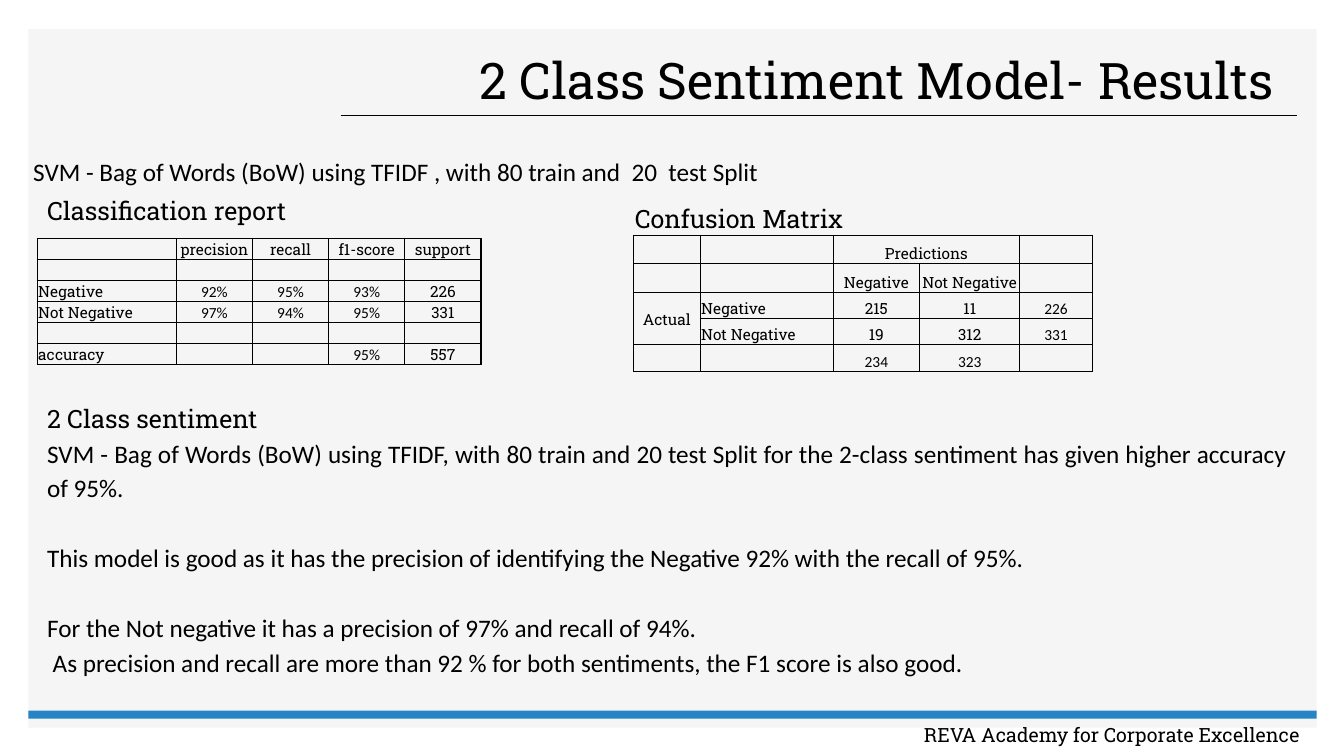
from lxml import etree
from pptx import Presentation
from pptx.dml.color import RGBColor
from pptx.enum.shapes import MSO_CONNECTOR, MSO_SHAPE
from pptx.enum.text import MSO_ANCHOR, PP_ALIGN
from pptx.oxml.ns import qn
from pptx.util import Pt

LEFT, CENTER, RIGHT, JUSTIFY = PP_ALIGN.LEFT, PP_ALIGN.CENTER, PP_ALIGN.RIGHT, PP_ALIGN.JUSTIFY
TOP, MIDDLE, BOTTOM = MSO_ANCHOR.TOP, MSO_ANCHOR.MIDDLE, MSO_ANCHOR.BOTTOM
RECTANGLE, STRAIGHT = MSO_SHAPE.RECTANGLE, MSO_CONNECTOR.STRAIGHT


def rgb(value):
    return RGBColor.from_string(value)


class SlideBuilder:
    SLAB = "Roboto Slab"
    SANS = "Calibri"
    INK = "000000"
    PANEL = "F5F5F5"
    ACCENT = "2683C6"

    def __init__(self, slide):
        self.slide = slide

    def format(self, p, size, font, align=LEFT):
        p.alignment = align
        for r in p.runs:
            r.font.size = Pt(size)
            r.font.name = font
            r.font.color.rgb = rgb(self.INK)

    def rect(self, x, y, w, h, color):
        sp = self.slide.shapes.add_shape(RECTANGLE, Pt(x), Pt(y), Pt(w), Pt(h))
        sp.shadow.inherit = False
        sp.fill.solid()
        sp.fill.fore_color.rgb = rgb(color)
        sp.line.fill.background()

    def line(self, x1, y1, x2, y2):
        cn = self.slide.shapes.add_connector(STRAIGHT, Pt(x1), Pt(y1), Pt(x2), Pt(y2))
        cn.line.color.rgb = rgb(self.INK)
        cn.line.width = Pt(1)
        etree.SubElement(cn._element.spPr, qn("a:effectLst"))

    def text(self, x, y, w, h, text, size=18, font=SLAB, align=LEFT, anchor=TOP, right=7.2):
        tf = self.slide.shapes.add_textbox(Pt(x), Pt(y), Pt(w), Pt(h)).text_frame
        tf.word_wrap = True
        tf.vertical_anchor = anchor
        tf.margin_right = Pt(right)
        p = tf.paragraphs[0]
        p.text = text
        self.format(p, size, font, align)
        return tf

    def body(self, tf, text, before=0, indent=0):
        p = tf.add_paragraph()
        p.text = text
        p.line_spacing = 1.15
        p.space_before = Pt(before)
        p._p.get_or_add_pPr().set("marL", str(Pt(indent)))
        self.format(p, 18, self.SANS, JUSTIFY)

    def borders(self, cell):
        tcPr = cell._tc.get_or_add_tcPr()
        for i, side in enumerate(("lnL", "lnR", "lnT", "lnB")):
            ln = etree.Element(qn("a:" + side), w=str(Pt(1)))
            fill = etree.SubElement(ln, qn("a:solidFill"))
            etree.SubElement(fill, qn("a:srgbClr"), val=self.INK)
            tcPr.insert(i, ln)

    def cell(self, cell, text, font, align, anchor):
        cell.margin_left = cell.margin_right = cell.margin_top = Pt(0.7)
        cell.margin_bottom = Pt(0)
        cell.vertical_anchor = anchor
        cell.fill.background()
        self.borders(cell)
        p = cell.text_frame.paragraphs[0]
        if text:
            p.text = text
            self.format(p, 11, font, align)
        else:
            etree.SubElement(p._p, qn("a:endParaRPr"), sz="1100")

    def table(self, x, y, widths, heights, rows, label_col, sans, merges=()):
        frame = self.slide.shapes.add_table(
            len(heights), len(widths), Pt(x), Pt(y), Pt(sum(widths)), Pt(sum(heights)))
        tbl = frame.table
        tbl.first_row = tbl.horz_banding = False
        for col, width in zip(tbl.columns, widths):
            col.width = Pt(width)
        for row, height in zip(tbl.rows, heights):
            row.height = Pt(height)
        for i, row in enumerate(rows):
            for j, text in enumerate(row):
                self.cell(tbl.cell(i, j), text,
                          self.SANS if text in sans else self.SLAB,
                          LEFT if j == label_col else CENTER,
                          MIDDLE if j == 0 else BOTTOM)
        for start, end in merges:
            tbl.cell(*start).merge(tbl.cell(*end))


REPORT = [
    ["", "precision", "recall", "f1-score", "support"],
    [""] * 5,
    ["Negative", "92%", "95%", "93%", "226"],
    ["Not Negative", "97%", "94%", "95%", "331"],
    [""] * 5,
    ["accuracy", "", "", "95%", "557"],
]
CONFUSION = [
    ["", "", "Predictions", "", ""],
    ["", "", "Negative", "Not Negative", ""],
    ["Actual", "Negative", "215", "11", "226"],
    ["", "Not Negative", "19", "312", "331"],
    ["", "", "234", "323", ""],
]


def main():
    prs = Presentation()
    prs.slide_width, prs.slide_height = Pt(960), Pt(540)
    s = SlideBuilder(prs.slides.add_slide(prs.slide_layouts[6]))

    s.rect(20.2, 20.9, 920.2, 498.9, s.PANEL)
    s.line(243.4, 82.5, 926.6, 82.5)
    s.rect(20.2, 507.6, 920.2, 5.8, s.ACCENT)
    s.text(563, 512.6, 376.6, 24.5, "REVA Academy for Corporate Excellence",
           size=14, align=RIGHT, right=11)
    s.text(266.4, 30.2, 660.2, 52.6, "2 Class Sentiment Model- Results",
           size=36, align=RIGHT, anchor=MIDDLE, right=16.5)

    s.text(16.6, 108, 673.2, 28.8,
           "SVM - Bag of Words (BoW) using TFIDF , with 80 train and  20  test Split", font=s.SANS)
    s.text(26.6, 136.1, 480.2, 28.8, "Classification report")
    s.text(446.4, 141.8, 480.2, 28.8, "Confusion Matrix")

    percents = {text for row in REPORT for text in row if text.endswith("%")}
    s.table(26.6, 170.3, [99.4] + [54.4] * 4, [15] * 6, REPORT, 0, percents)
    s.table(452.6, 168, [47.5, 95, 61.9, 71.5, 51.8], [20.4] * 2 + [18.8] * 3, CONFUSION, 1,
            {"226", "331", "234", "323"}, [((0, 2), (0, 3)), ((2, 0), (3, 0))])

    tf = s.text(26.6, 284.4, 900, 226.8, "2 Class sentiment")
    s.body(tf, "SVM - Bag of Words (BoW) using TFIDF, with 80 train and 20 test Split for the "
               "2-class sentiment has given higher accuracy of 95%.")
    s.body(tf, "This model is good as it has the precision of identifying the Negative 92% "
               "with the recall of 95%.", before=25)
    s.body(tf, "For the Not negative it has a precision of 97% and recall of 94%.", before=25)
    s.body(tf, "As precision and recall are more than 92 % for both sentiments, "
               "the F1 score is also good.", indent=4)

    prs.save("out.pptx")


if __name__ == "__main__":
    main()
